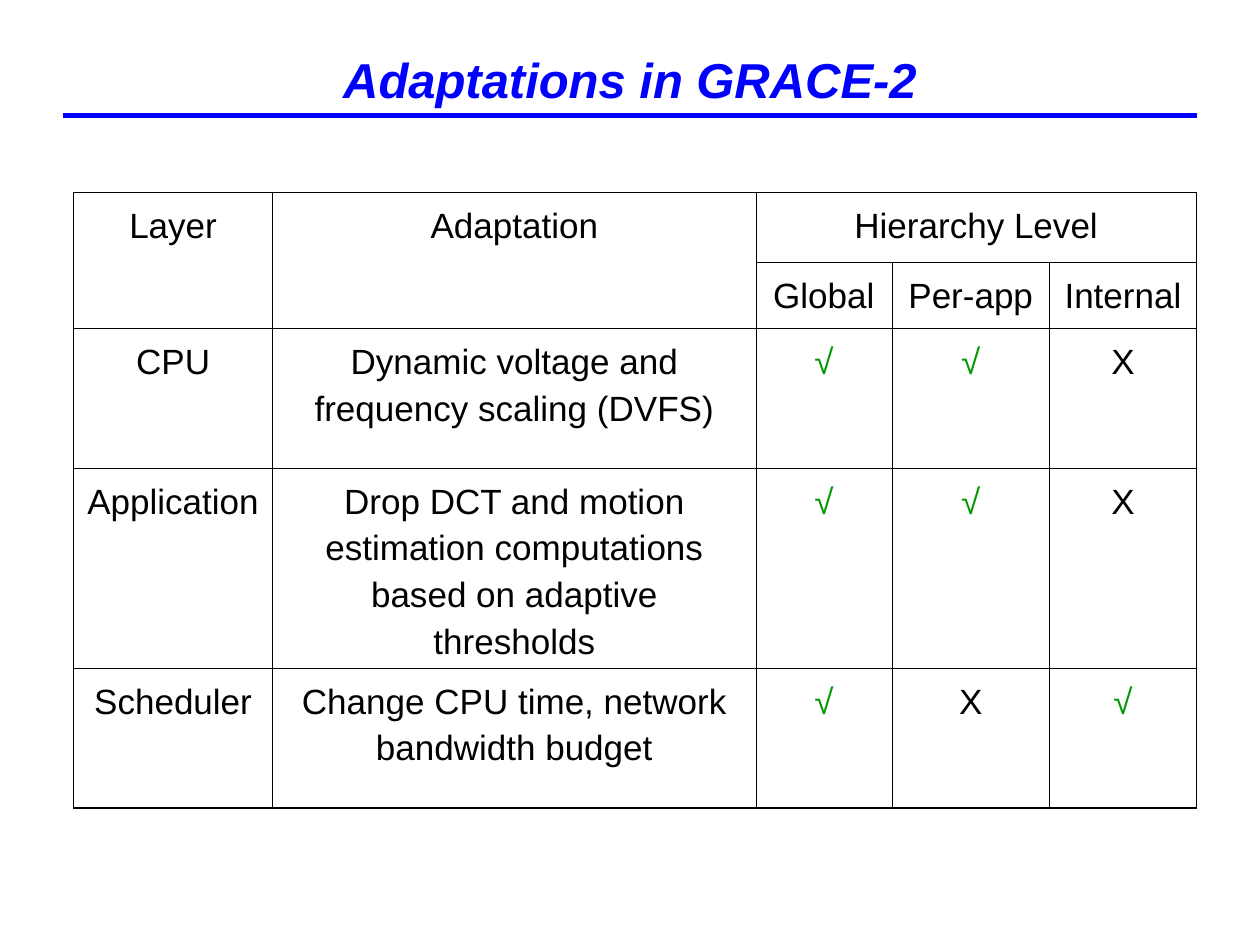
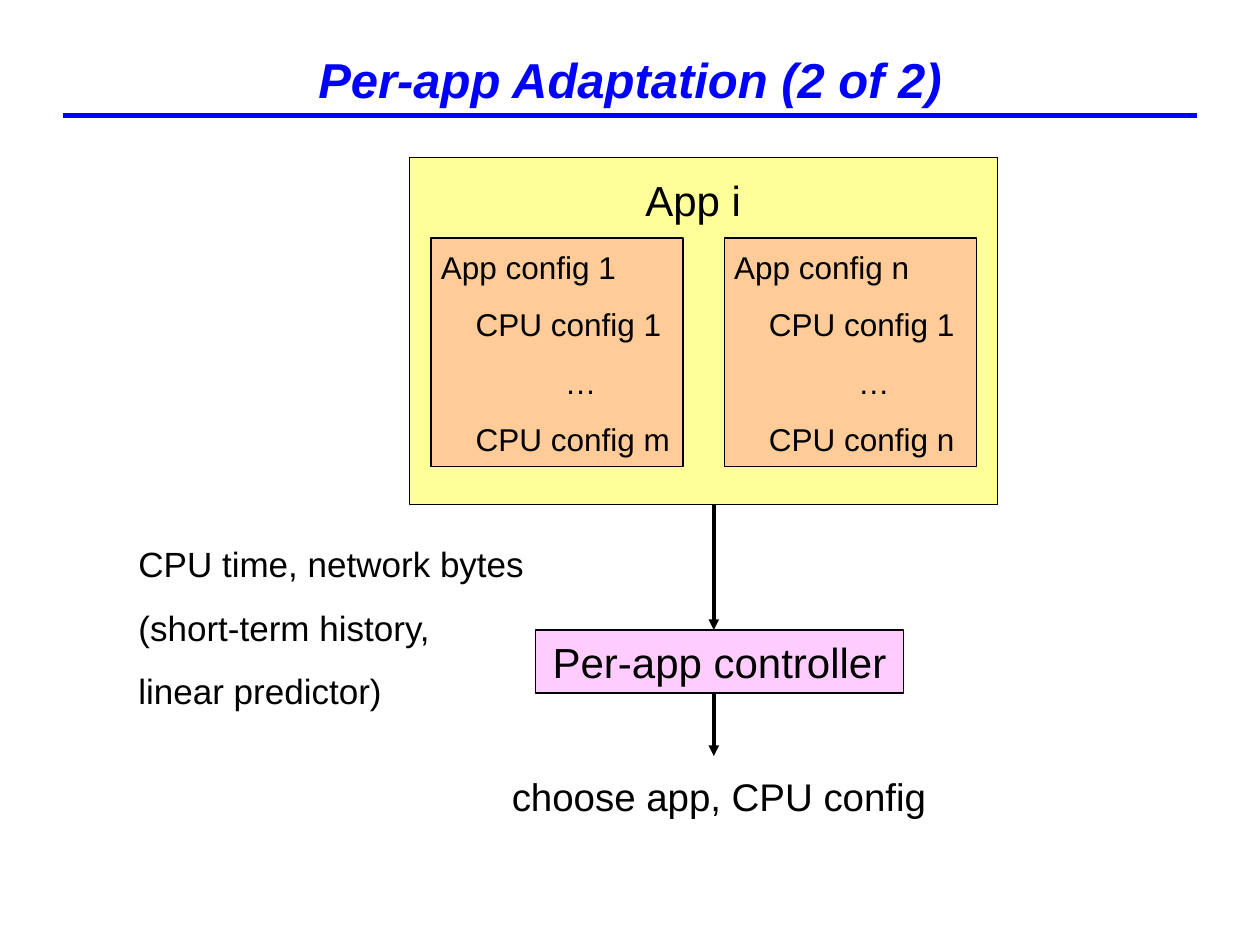
"""Build two slides on adaptation: a table of layers and a per-app control flow."""
from lxml import etree
from pptx import Presentation
from pptx.dml.color import RGBColor
from pptx.enum import shapes, text
from pptx.oxml import ns
from pptx.util import Cm, Pt

BLACK = RGBColor(0x00, 0x00, 0x00)
BLUE = RGBColor(0x00, 0x00, 0xFF)
GREEN = RGBColor(0x00, 0x99, 0x00)
YELLOW = RGBColor(0xFF, 0xFF, 0x99)
ORANGE = RGBColor(0xFF, 0xCC, 0x99)
PINK = RGBColor(0xFF, 0xCC, 0xFF)

CENTER, LEFT = text.PP_ALIGN.CENTER, text.PP_ALIGN.LEFT
TOP, MIDDLE = text.MSO_ANCHOR.TOP, text.MSO_ANCHOR.MIDDLE
CHECK = "√"

TABLE_TITLE = "Adaptations in GRACE-2"
TABLE_ROWS = [
    ("Layer", "Adaptation", "Hierarchy Level", "", ""),
    ("", "", "Global", "Per-app", "Internal"),
    ("CPU", "Dynamic voltage and frequency scaling (DVFS)", CHECK, CHECK, "X"),
    ("Application", "Drop DCT and motion estimation computations based on adaptive thresholds",
     CHECK, CHECK, "X"),
    ("Scheduler", "Change CPU time, network bandwidth budget", CHECK, "X", CHECK),
]
MERGES = [((0, 0), (1, 0)), ((0, 1), (1, 1)), ((0, 2), (0, 4))]
COLUMN_WIDTHS = (4.02, 9.74, 2.74, 3.18, 2.96)
ROW_HEIGHTS = (1.41, 1.33, 2.82, 3.31, 2.82)
TABLE_LEFT, TABLE_TOP = 1.48, 3.88
OUTER_BORDER, INNER_BORDER = 1.08, 0.45

FLOW_TITLE = "Per-app Adaptation (2 of 2)"
CONFIGS = [
    ("App config 1", "CPU config 1", "…", "CPU config m"),
    ("App config n", "CPU config 1", "…", "CPU config n"),
]
CONFIG_INDENTS = (0.2, 0.9, 2.7, 0.9)
APP_BOX = (8.26, 3.18, 11.85, 6.99)
CONFIG_TOP, CONFIG_WIDTH, CONFIG_HEIGHT, CONFIG_MARGIN = 4.8, 5.08, 4.6, 0.43
CONTROLLER_BOX = (10.8, 12.7, 7.41, 1.27)
LABELS = [
    (["App i"], (12.07, 3.38, 3.81, 1.27), 24, 15, CENTER),
    (["CPU time, network bytes", "(short-term history,", "linear predictor)"],
     (2.54, 10.8, 8.46, 3.68), 20, 12.5, LEFT),
    (["choose app, CPU config"], (6.77, 15.45, 15.45, 1.19), 22, 13.75, CENTER),
]
ARROW_X = 14.39
ARROW_SPANS = [(10.17, 12.7), (13.97, 15.24)]


def apply(target, values):
    """Set every named attribute of the target."""
    for name, value in values.items():
        setattr(target, name, value)


def write(frame, lines, size, color=BLACK, align=LEFT, before=0, spacing=None,
          indents=None, anchor=TOP, inset_top=0.13, inset_side=0.25, **font):
    """Fill a text frame with one paragraph per line."""
    apply(frame, {"word_wrap": True, "vertical_anchor": anchor,
                  "auto_size": text.MSO_AUTO_SIZE.NONE,
                  "margin_left": Cm(inset_side), "margin_right": Cm(inset_side),
                  "margin_top": Cm(inset_top), "margin_bottom": Cm(0.13)})
    for number, line in enumerate(lines):
        para = frame.paragraphs[0] if number == 0 else frame.add_paragraph()
        apply(para, {"alignment": align, "space_before": Pt(before), "line_spacing": spacing})
        if indents:
            properties = para._p.get_or_add_pPr()
            properties.set("marL", str(Cm(indents[number])))
            properties.set("indent", "0")
        span = para.add_run()
        span.text = line
        apply(span.font, {"name": "Arial", "size": Pt(size), **font})
        span.font.color.rgb = color


def add_line(page, start, end, color, width, arrow=False):
    """Draw a straight line, with an arrowhead at its end if asked."""
    line = page.shapes.add_connector(shapes.MSO_CONNECTOR.STRAIGHT,
                                     *(Cm(value) for value in start + end))
    line.line.color.rgb = color
    line.line.width = Pt(width)
    if arrow:
        etree.SubElement(line.line._get_or_add_ln(), ns.qn("a:tailEnd"), type="triangle")
    etree.SubElement(line._element.spPr, ns.qn("a:effectLst"))


def add_box(page, place, fill):
    """Draw a filled rectangle with a thin black outline."""
    box = page.shapes.add_shape(shapes.MSO_SHAPE.RECTANGLE, *(Cm(value) for value in place))
    box.shadow.inherit = False
    box.fill.solid()
    box.fill.fore_color.rgb = fill
    box.line.color.rgb = BLACK
    box.line.width = Pt(0.75)
    return box


def add_page(deck, title):
    """Add a page with the shared title style and rule."""
    page = deck.slides.add_slide(deck.slide_layouts.get_by_name("Title Only"))
    heading = page.shapes.title
    apply(heading, {"left": Cm(1.27), "top": Cm(0.64), "width": Cm(22.86), "height": Cm(1.9)})
    write(heading.text_frame, [title], 28, BLUE, CENTER, anchor=MIDDLE, bold=True, italic=True)
    add_line(page, (1.27, 2.33), (24.13, 2.33), BLUE, 3)
    return page


def set_borders(cell, widths):
    """Draw the left, right, top and bottom borders of a cell."""
    properties = cell._tc.get_or_add_tcPr()
    for place, (side, width) in enumerate(zip("LRTB", widths)):
        border = etree.Element(ns.qn(f"a:ln{side}"), w=str(Pt(width)))
        fill = etree.SubElement(border, ns.qn("a:solidFill"))
        etree.SubElement(fill, ns.qn("a:srgbClr"), val=str(BLACK))
        properties.insert(place, border)


def add_layer_table(page):
    """Add the table of adaptations by layer and hierarchy level."""
    row_count, column_count = len(ROW_HEIGHTS), len(COLUMN_WIDTHS)
    place = (TABLE_LEFT, TABLE_TOP, sum(COLUMN_WIDTHS), sum(ROW_HEIGHTS))
    table = page.shapes.add_table(row_count, column_count, *(Cm(value) for value in place)).table
    apply(table, {"first_row": False, "horz_banding": False})
    for column, width in zip(table.columns, COLUMN_WIDTHS):
        column.width = Cm(width)
    for row, height in zip(table.rows, ROW_HEIGHTS):
        row.height = Cm(height)
    for first, last in MERGES:
        table.cell(*first).merge(table.cell(*last))
    for r, row in enumerate(TABLE_ROWS):
        for c, content in enumerate(row):
            cell = table.cell(r, c)
            cell.fill.background()
            edges = (c == 0, c == column_count - 1, r == 0, r == row_count - 1)
            set_borders(cell, [OUTER_BORDER if edge else INNER_BORDER for edge in edges])
            if content:
                write(cell.text_frame, [content], 20, GREEN if content == CHECK else BLACK,
                      CENTER, before=25, spacing=1.2)


def add_control_flow(page):
    """Add the app with its configurations, the controller and the arrows."""
    add_box(page, APP_BOX, YELLOW)
    app_left, _, app_width, _ = APP_BOX
    step = app_width - 2 * CONFIG_MARGIN - CONFIG_WIDTH
    for number, lines in enumerate(CONFIGS):
        left = app_left + CONFIG_MARGIN + number * step
        box = add_box(page, (left, CONFIG_TOP, CONFIG_WIDTH, CONFIG_HEIGHT), ORANGE)
        write(box.text_frame, lines, 18, before=11.25, indents=CONFIG_INDENTS,
              inset_top=0.2, inset_side=0)
    controller = add_box(page, CONTROLLER_BOX, PINK)
    write(controller.text_frame, ["Per-app controller"], 24, align=CENTER, before=15)
    for lines, place, size, before, align in LABELS:
        label = page.shapes.add_textbox(*(Cm(value) for value in place))
        write(label.text_frame, lines, size, align=align, before=before)
    for start, end in ARROW_SPANS:
        add_line(page, (ARROW_X, start), (ARROW_X, end), BLACK, 2, arrow=True)


def main():
    """Build and save the deck."""
    deck = Presentation()
    apply(deck, {"slide_width": Cm(25.4), "slide_height": Cm(19.05)})
    add_layer_table(add_page(deck, TABLE_TITLE))
    add_control_flow(add_page(deck, FLOW_TITLE))
    deck.save("out.pptx")


if __name__ == "__main__":
    main()
